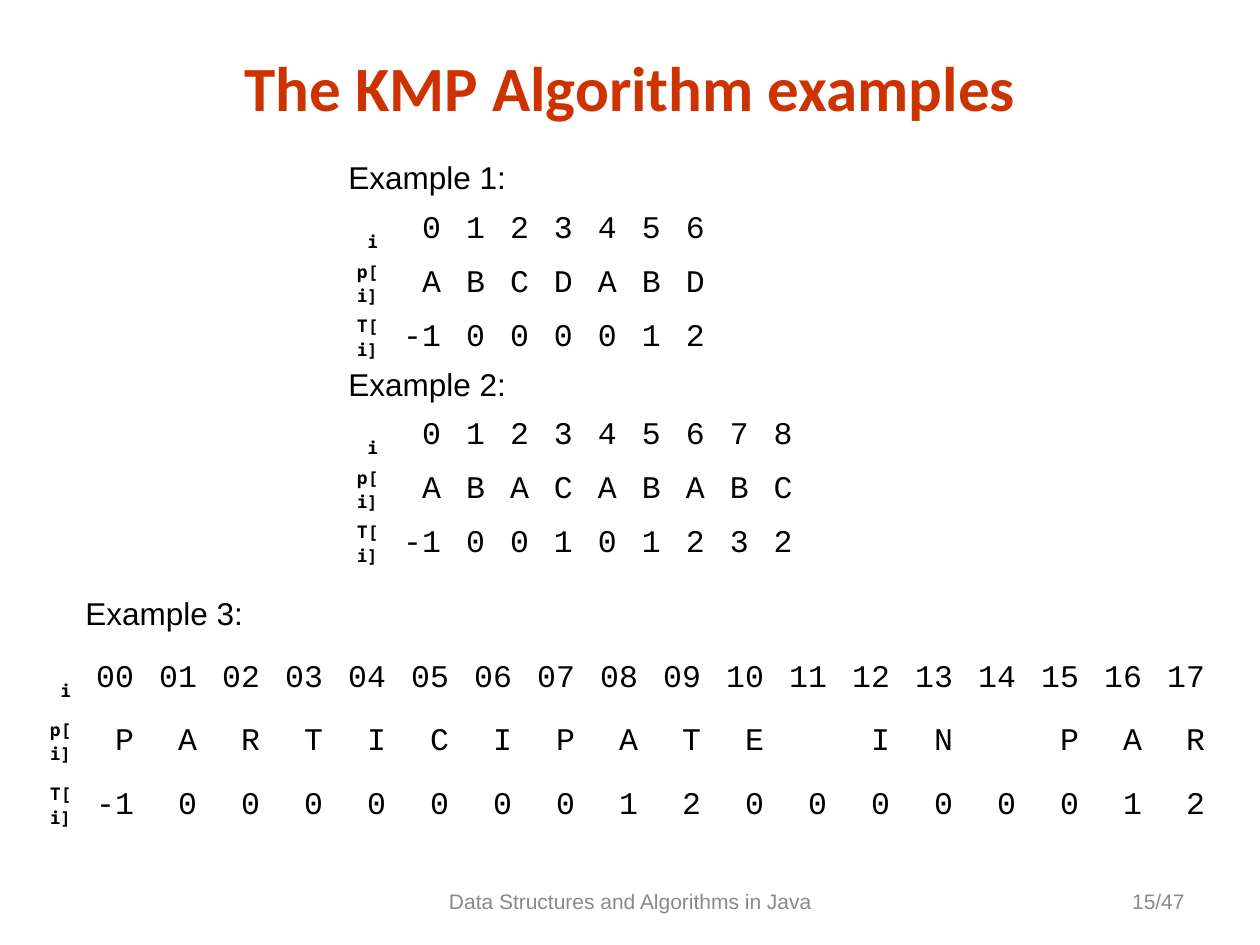
from pptx import Presentation
from pptx.dml.color import RGBColor
from pptx.enum.text import MSO_ANCHOR as ANCHOR, PP_ALIGN as ALIGN
from pptx.util import Pt

PX = 914400 / 126


def px(*lengths):
    """Turn pixel lengths into a list of EMU."""
    return [round(n * PX) for n in lengths]


def write(tf, text, size=18, font="Arial", color="000000", bold=False,
          align=ALIGN.LEFT, anchor=ANCHOR.MIDDLE, wrap=True):
    tf.word_wrap = wrap
    tf.vertical_anchor = anchor
    p = tf.paragraphs[0]
    p.alignment = align
    r = p.add_run()
    r.text = text
    r.font.size = Pt(size)
    r.font.name = font
    r.font.bold = bold
    r.font.color.rgb = RGBColor.from_string(color)


prs = Presentation()
prs.slide_width, prs.slide_height = px(1260, 945)
slide = prs.slides.add_slide(prs.slide_layouts[5])

title = slide.shapes.title
title.left, title.top, title.width, title.height = px(63, 42, 1134, 88)
write(title.text_frame, "The KMP Algorithm examples", size=36, font="Calibri",
      color="CC3300", bold=True, align=ALIGN.CENTER)

for text, left, width, align in [
    ("Data Structures and Algorithms in Java", 431, 399, ALIGN.CENTER),
    ("15/47", 903, 294, ALIGN.RIGHT),
]:
    box = slide.shapes.add_textbox(*px(left, 876, width, 50))
    write(box.text_frame, text, size=12, color="898989", align=align)

# heading, heading left and top, table left and top, column width,
# row heights, vertical cell margin, index digits, pattern, failure table
examples = [
    ("Example 1:", 336, 152, 336, 203, 44, (54, 54, 54), 3, 1,
     "ABCDABD", "-1 0 0 0 0 1 2"),
    ("Example 2:", 336, 359, 336, 409, 44, (54, 54, 54), 3, 1,
     "ABACABABC", "-1 0 0 1 0 1 2 3 2"),
    ("Example 3:", 73, 588, 29, 651, 63, (56, 70, 58), 4, 2,
     "PARTICIPATE IN PAR", "-1 0 0 0 0 0 0 0 1 2 0 0 0 0 0 0 1 2"),
]
for (heading, head_left, head_top, left, top, col_width,
     heights, margin, digits, pattern, failures) in examples:
    box = slide.shapes.add_textbox(*px(head_left, head_top, 183, 50))
    write(box.text_frame, heading, wrap=False)

    indexes = [f"{i:0{digits}}" for i in range(len(pattern))]
    rows = [["i", *indexes], ["p[i]", *pattern], ["T[i]", *failures.split()]]
    widths = [55, 63] + [col_width] * (len(pattern) - 1)
    table = slide.shapes.add_table(
        len(rows), len(widths), *px(left, top, sum(widths), sum(heights))).table
    table.first_row = table.horz_banding = False
    for column, width in zip(table.columns, px(*widths)):
        column.width = width
    for row, height in zip(table.rows, px(*heights)):
        row.height = height

    for y, values in enumerate(rows):
        for x, value in enumerate(values):
            cell = table.cell(y, x)
            cell.fill.solid()
            cell.fill.fore_color.rgb = RGBColor.from_string("FFFFFF")
            cell.margin_left, cell.margin_right = px(8 if x else 13, 13)
            cell.margin_top, cell.margin_bottom = px(margin, margin)
            cell.vertical_anchor = ANCHOR.MIDDLE
            if value == " ":
                continue
            if x:
                style = dict(size=18, font="Courier New")
            else:
                style = dict(size=10, font="Noto Sans Mono", bold=True)
            write(cell.text_frame, value, align=ALIGN.RIGHT, **style)
    table.cell(0, 0).vertical_anchor = ANCHOR.BOTTOM

prs.save("out.pptx")
